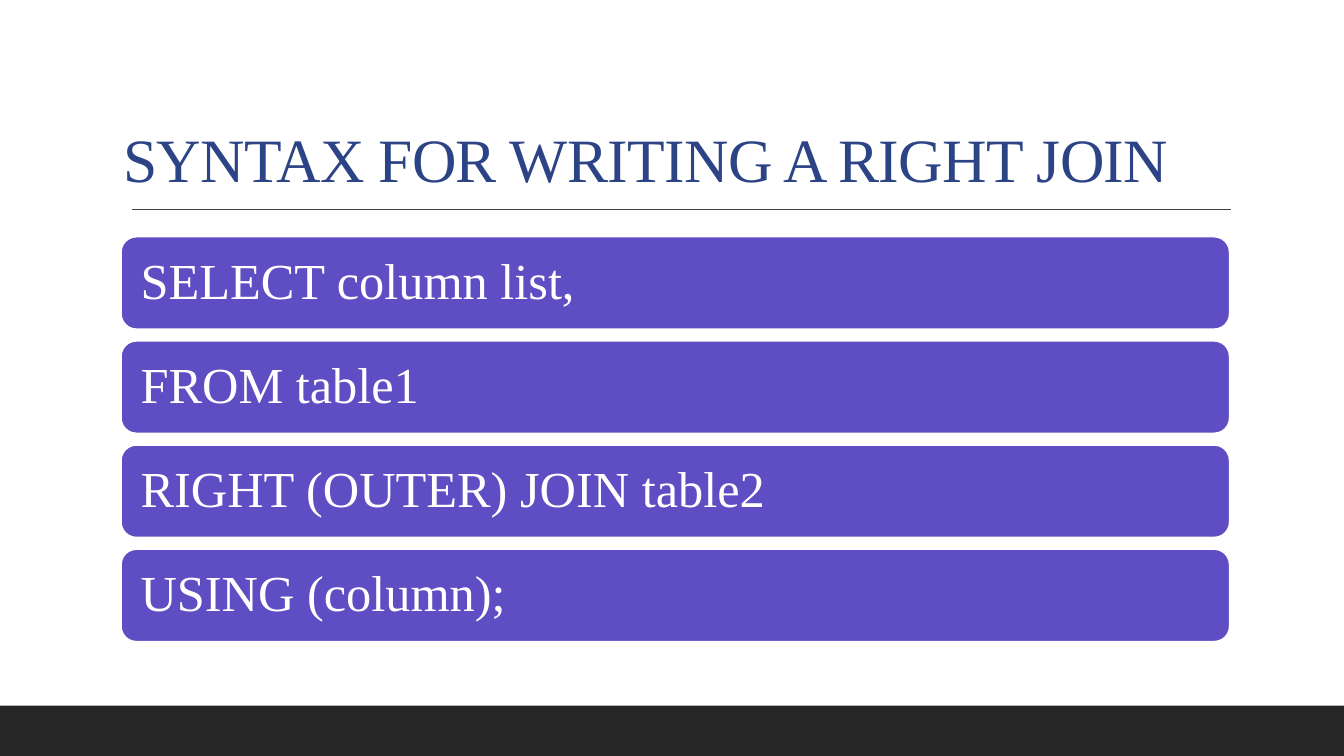
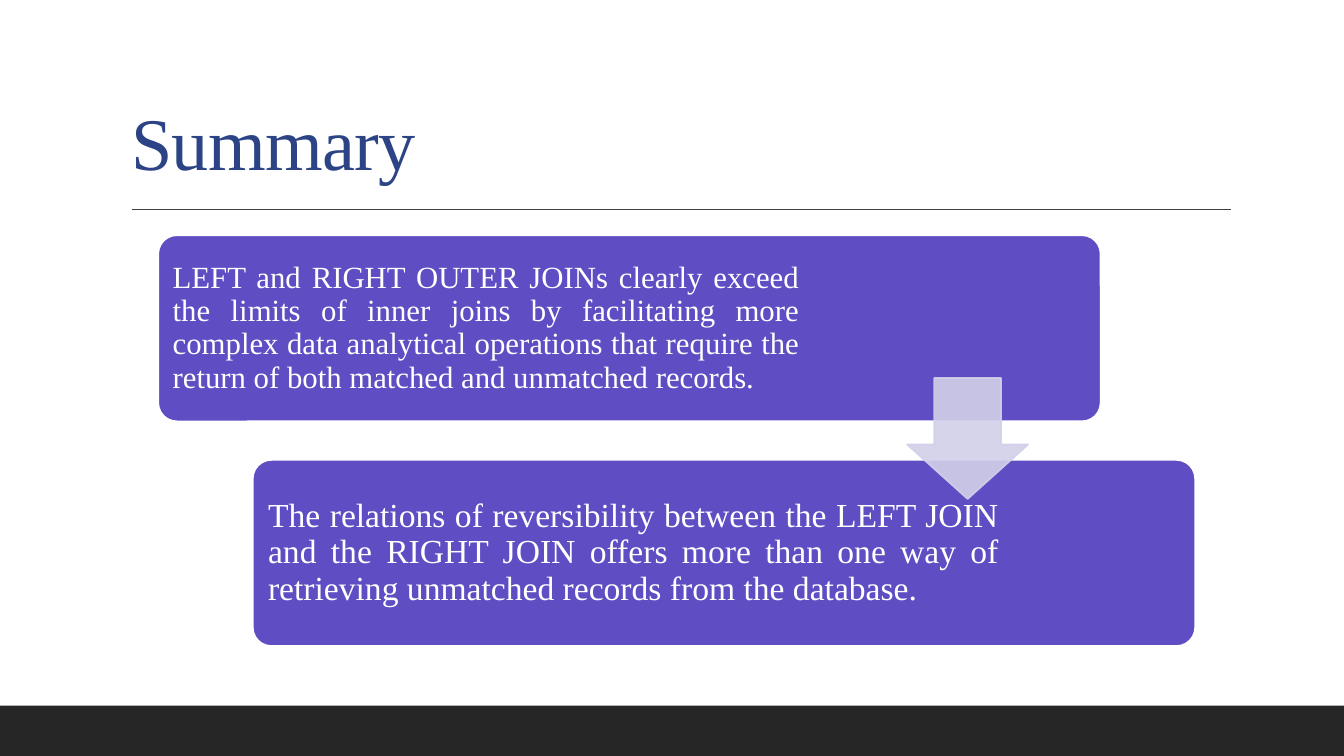
import pptx
import pptx.dml.color
import pptx.enum.shapes
import pptx.enum.text
import pptx.oxml.ns
import pptx.util
from lxml import etree

Pt = pptx.util.Pt
qn = pptx.oxml.ns.qn
Shape = pptx.enum.shapes.MSO_SHAPE
Align = pptx.enum.text.PP_ALIGN
Anchor = pptx.enum.text.MSO_ANCHOR

FONT = "Times New Roman"
COLORS = {
    "title": "2C4485",
    "band": "262626",
    "rule": "404040",
    "card": "5E4DC3",
    "arrow": "D2D0E9",
    "white": "FFFFFF",
}
PAGE_WIDTH, PAGE_HEIGHT = 960, 540
BAND_HEIGHT = 36
CLAUSES = [
    "SELECT column list,",
    "FROM table1",
    "RIGHT (OUTER) JOIN table2",
    "USING (column);",
]
LIMITS = (
    "LEFT and RIGHT OUTER JOINs clearly exceed the limits of inner joins by "
    "facilitating more complex data analytical operations that require the "
    "return of both matched and unmatched records."
)
REVERSIBILITY = (
    "The relations of reversibility between the LEFT JOIN and the RIGHT JOIN "
    "offers more than one way of retrieving unmatched records from the database."
)


def color(name):
    return pptx.dml.color.RGBColor.from_string(COLORS[name])


def lengths(*values):
    return [Pt(value) for value in values]


def format_text(frame, text, size, color_name, align=Align.LEFT):
    frame.text = text
    frame.word_wrap = True
    frame.auto_size = pptx.enum.text.MSO_AUTO_SIZE.NONE
    para = frame.paragraphs[0]
    para.alignment = align
    para.line_spacing = 0.9
    para.font.name = FONT
    para.font.size = Pt(size)
    para.font.color.rgb = color(color_name)
    return para


def add_box(page, kind, place, fill, line=None):
    box = page.shapes.add_shape(kind, *lengths(*place))
    box.shadow.inherit = False
    box.fill.solid()
    box.fill.fore_color.rgb = color(fill)
    if line:
        box.line.color.rgb = color(line)
        box.line.width = Pt(1.25)
    else:
        box.line.fill.background()
    return box


def add_card(page, place, text, size, inset, right_inset, align=Align.LEFT, corner=None):
    card = add_box(page, Shape.ROUNDED_RECTANGLE, place, "card", "white")
    if corner:
        card.adjustments[0] = corner
    frame = card.text_frame
    frame.vertical_anchor = Anchor.MIDDLE
    frame.margin_left = frame.margin_top = frame.margin_bottom = Pt(inset)
    frame.margin_right = Pt(right_inset)
    format_text(frame, text, size, "white", align)


def add_arrow(page, place):
    arrow = add_box(page, Shape.DOWN_ARROW, place, "arrow", "arrow")
    arrow.adjustments[0] = 0.55
    arrow.adjustments[1] = 0.45
    for tint in arrow.element.spPr.iter(qn("a:srgbClr")):
        etree.SubElement(tint, qn("a:alpha")).set("val", "90000")


def add_page(deck, layout, title, size, left, top, width):
    page = deck.slides.add_slide(layout)
    box = page.shapes.title
    box.left, box.top, box.width, box.height = lengths(left, top, width, 114.5)
    box.text_frame.vertical_anchor = Anchor.BOTTOM
    para = format_text(box.text_frame, title, size, "title")
    para.font._element.set("spc", "-50")
    return page


def decorate_layout(layout, page):
    band_place = (0, PAGE_HEIGHT - BAND_HEIGHT, PAGE_WIDTH, BAND_HEIGHT)
    band = add_box(page, Shape.RECTANGLE, band_place, "band")
    rule = page.shapes.add_connector(
        pptx.enum.shapes.MSO_CONNECTOR.STRAIGHT, *lengths(94.3, 149.5, 879, 149.5)
    )
    rule.line.color.rgb = color("rule")
    rule.line.width = Pt(1)
    etree.SubElement(rule.element.spPr, qn("a:effectLst"))
    for shape in (band, rule):
        layout.shapes.element.append(shape.element)


def fill_syntax(page):
    top, height, step = 169, 66.2, 74.4
    for index, clause in enumerate(CLAUSES):
        place = (86.4, top + index * step, 792, height)
        add_card(page, place, clause, 36, 10.8, 10.8)


def fill_summary(page):
    width, height = 673.2, 133
    cards = [
        (113, 168, LIMITS, 22, 6.5, 211.5),
        (180.5, 328.5, REVERSIBILITY, 24, 7.2, 136.5),
    ]
    for left, top, text, size, inset, right_inset in cards:
        place = (left, top, width, height)
        add_card(page, place, text, size, inset, right_inset, Align.JUSTIFY, 0.1)
    add_arrow(page, (648, 270, 86.4, 86.4))


def main():
    deck = pptx.Presentation()
    deck.slide_width, deck.slide_height = lengths(PAGE_WIDTH, PAGE_HEIGHT)
    layout = deck.slide_layouts.get_by_name("Title Only")
    syntax = add_page(deck, layout, "SYNTAX FOR WRITING A RIGHT JOIN", 44, 80.8, 28.8, 814.3)
    summary = add_page(deck, layout, "Summary", 53, 86.4, 22.3, 792)
    decorate_layout(layout, syntax)
    fill_syntax(syntax)
    fill_summary(summary)
    deck.save("out.pptx")


if __name__ == "__main__":
    main()
